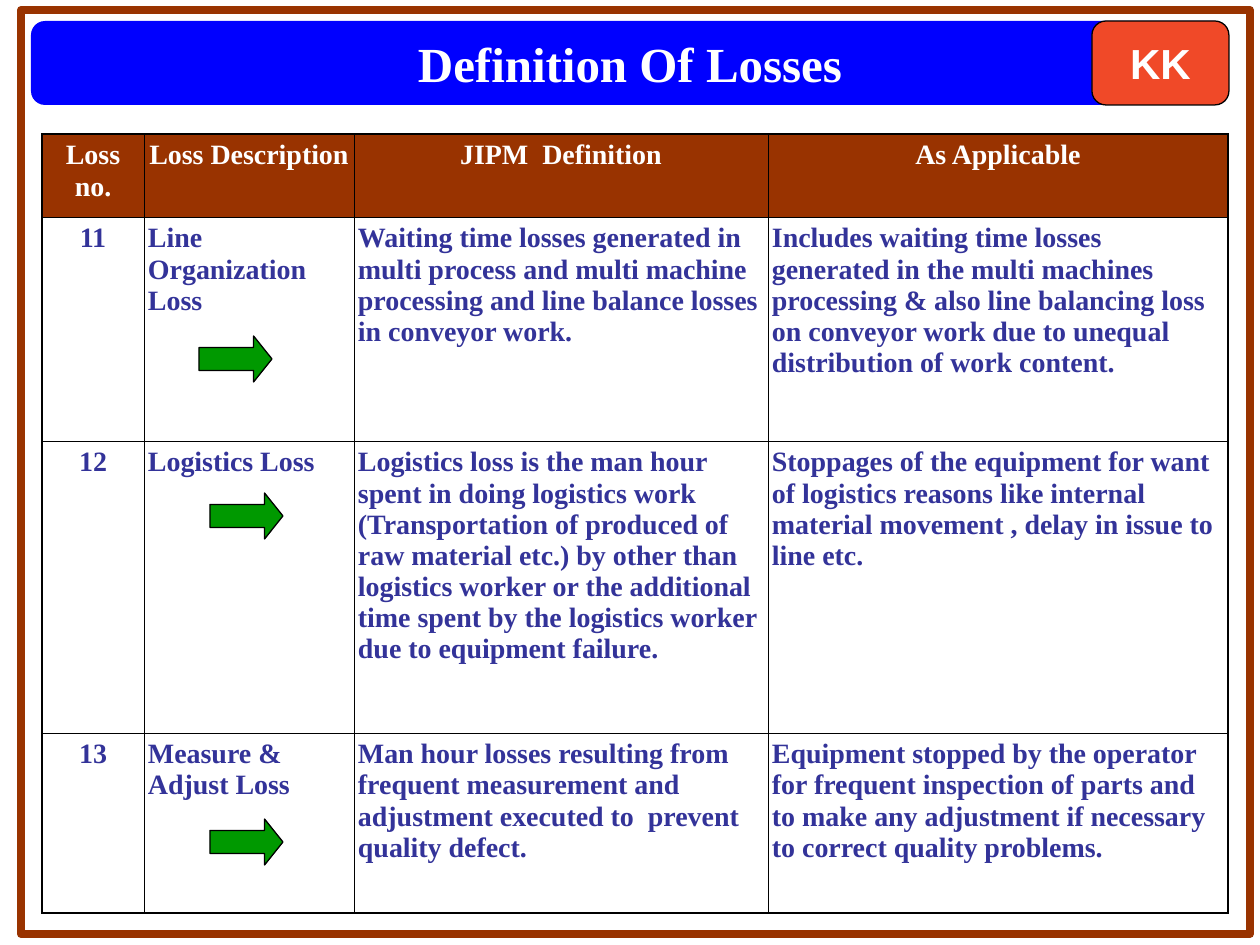
from lxml import etree
from pptx import Presentation
from pptx.dml.color import RGBColor
from pptx.enum.shapes import MSO_SHAPE
from pptx.enum.text import MSO_ANCHOR, PP_ALIGN
from pptx.oxml.ns import qn
from pptx.util import Pt

RECTANGLE = MSO_SHAPE.RECTANGLE
ROUNDED = MSO_SHAPE.ROUNDED_RECTANGLE
RIGHT_ARROW = MSO_SHAPE.RIGHT_ARROW
MIDDLE = MSO_ANCHOR.MIDDLE
TOP = MSO_ANCHOR.TOP
CENTER = PP_ALIGN.CENTER
LEFT = PP_ALIGN.LEFT

EMU_PER_PX = 914400 / 126
TITLE_ONLY = 5

BLACK, WHITE = "000000", "FFFFFF"
BROWN, BLUE, INDIGO = "993300", "0000FF", "333399"
ORANGE, GREEN = "F04928", "009900"

BANNER = (31, 21, 1198, 84)
FRAME = (21, 10, 1229, 924)
BADGE = (1092, 21, 137, 84)
TABLE_ORIGIN = (42, 134)
COLUMN_WIDTHS = (102, 210, 414, 460)
ROW_HEIGHTS = (83, 224, 292, 180)
ARROW_SIZE = (73, 46)
ARROW_POSITIONS = ((199, 336), (210, 819), (210, 493))

LOSSES = (
    ("Loss no.", "Loss Description", "JIPM  Definition", "As Applicable"),
    ("11", "Line Organization Loss",
     "Waiting time losses generated in multi process and multi machine "
     "processing and line balance losses in conveyor work.",
     "Includes waiting time losses generated in the multi machines processing "
     "& also line balancing loss on conveyor work due to unequal distribution "
     "of work content."),
    ("12", "Logistics Loss",
     "Logistics loss is the man hour spent in doing logistics work "
     "(Transportation of produced of raw material etc.) by other than "
     "logistics worker or the additional time spent by the logistics worker "
     "due to equipment failure.",
     "Stoppages of the equipment for want of logistics reasons like internal "
     "material movement , delay in issue to line etc."),
    ("13", "Measure & Adjust Loss",
     "Man hour losses resulting from frequent measurement and adjustment "
     "executed to  prevent quality defect.",
     "Equipment stopped by the operator for frequent inspection of parts and "
     "to make any adjustment if necessary to correct quality problems."),
)


def px(length):
    return round(length * EMU_PER_PX)


def rgb(color):
    return RGBColor.from_string(color)


def set_all(target, values):
    for name, value in values.items():
        setattr(target, name, value)


class LossSlide:
    serif = "Times New Roman"
    sans = "Arial"
    outer_border = 1.08
    inner_border = 0.45

    def __init__(self, slide):
        self.slide = slide

    def fill_text(self, frame, text, size, color, font=serif, align=CENTER):
        frame.text = text
        paragraph = frame.paragraphs[0]
        paragraph.alignment = align
        run_font = paragraph.runs[0].font
        set_all(run_font, {"name": font, "size": Pt(size), "bold": True})
        run_font.color.rgb = rgb(color)

    def shape(self, kind, box, fill=None, line=None, line_width=0.75):
        shape = self.slide.shapes.add_shape(kind, *map(px, box))
        shape.shadow.inherit = False
        if fill:
            shape.fill.solid()
            shape.fill.fore_color.rgb = rgb(fill)
        else:
            shape.fill.background()
        if line:
            shape.line.color.rgb = rgb(line)
            shape.line.width = Pt(line_width)
        else:
            shape.line.fill.background()
        return shape

    def title(self, text, box):
        """Place the title placeholder on top of a blue banner."""
        self.shape(ROUNDED, box, BLUE)
        title = self.slide.shapes.title
        self.slide.shapes._spTree.append(title._element)
        set_all(title, dict(zip(("left", "top", "width", "height"), map(px, box))))
        set_all(title.text_frame, {"word_wrap": False, "vertical_anchor": MIDDLE})
        self.fill_text(title.text_frame, text, 28, WHITE)

    def badge(self, text, box):
        badge = self.shape(ROUNDED, box, ORANGE, BLACK)
        set_all(badge.text_frame, {"word_wrap": False, "vertical_anchor": MIDDLE})
        self.fill_text(badge.text_frame, text, 24, WHITE, self.sans)

    def arrow(self, position):
        arrow = self.shape(RIGHT_ARROW, position + ARROW_SIZE, GREEN, BLACK)
        arrow.adjustments[1] = 0.4

    def borders(self, cell, outer_sides):
        properties = cell._tc.get_or_add_tcPr()
        for side in "LRTB":
            width = self.outer_border if side in outer_sides else self.inner_border
            border = etree.SubElement(properties, qn(f"a:ln{side}"), w=str(Pt(width)))
            fill = etree.SubElement(border, qn("a:solidFill"))
            etree.SubElement(fill, qn("a:srgbClr"), val=BLACK)

    def table(self, rows, origin, widths, heights):
        box = (*origin, sum(widths), sum(heights))
        table = self.slide.shapes.add_table(
            len(rows), len(widths), *map(px, box)).table
        set_all(table, {"first_row": False, "horz_banding": False})
        for column, width in zip(table.columns, widths):
            column.width = px(width)
        for row, height in zip(table.rows, heights):
            row.height = px(height)
        last_row, last_column = len(rows) - 1, len(widths) - 1
        cell_format = {"margin_left": px(4), "margin_right": px(4),
                       "margin_top": px(6), "margin_bottom": px(6),
                       "vertical_anchor": TOP}
        for r, texts in enumerate(rows):
            for c, text in enumerate(texts):
                cell = table.cell(r, c)
                set_all(cell, cell_format)
                edges = {"L": c == 0, "R": c == last_column,
                         "T": r == 0, "B": r == last_row}
                self.borders(cell, [side for side in edges if edges[side]])
                header = r == 0
                if header:
                    cell.fill.solid()
                    cell.fill.fore_color.rgb = rgb(BROWN)
                else:
                    cell.fill.background()
                self.fill_text(cell.text_frame, text, 16,
                               WHITE if header else INDIGO,
                               align=CENTER if header or c == 0 else LEFT)


def main():
    presentation = Presentation()
    set_all(presentation, {"slide_width": px(1260), "slide_height": px(945)})
    layout = presentation.slide_layouts[TITLE_ONLY]
    page = LossSlide(presentation.slides.add_slide(layout))
    page.title("Definition Of Losses", BANNER)
    page.shape(RECTANGLE, FRAME, line=BROWN, line_width=4.5)
    page.badge("KK", BADGE)
    page.table(LOSSES, TABLE_ORIGIN, COLUMN_WIDTHS, ROW_HEIGHTS)
    for position in ARROW_POSITIONS:
        page.arrow(position)
    presentation.save("out.pptx")


if __name__ == "__main__":
    main()
